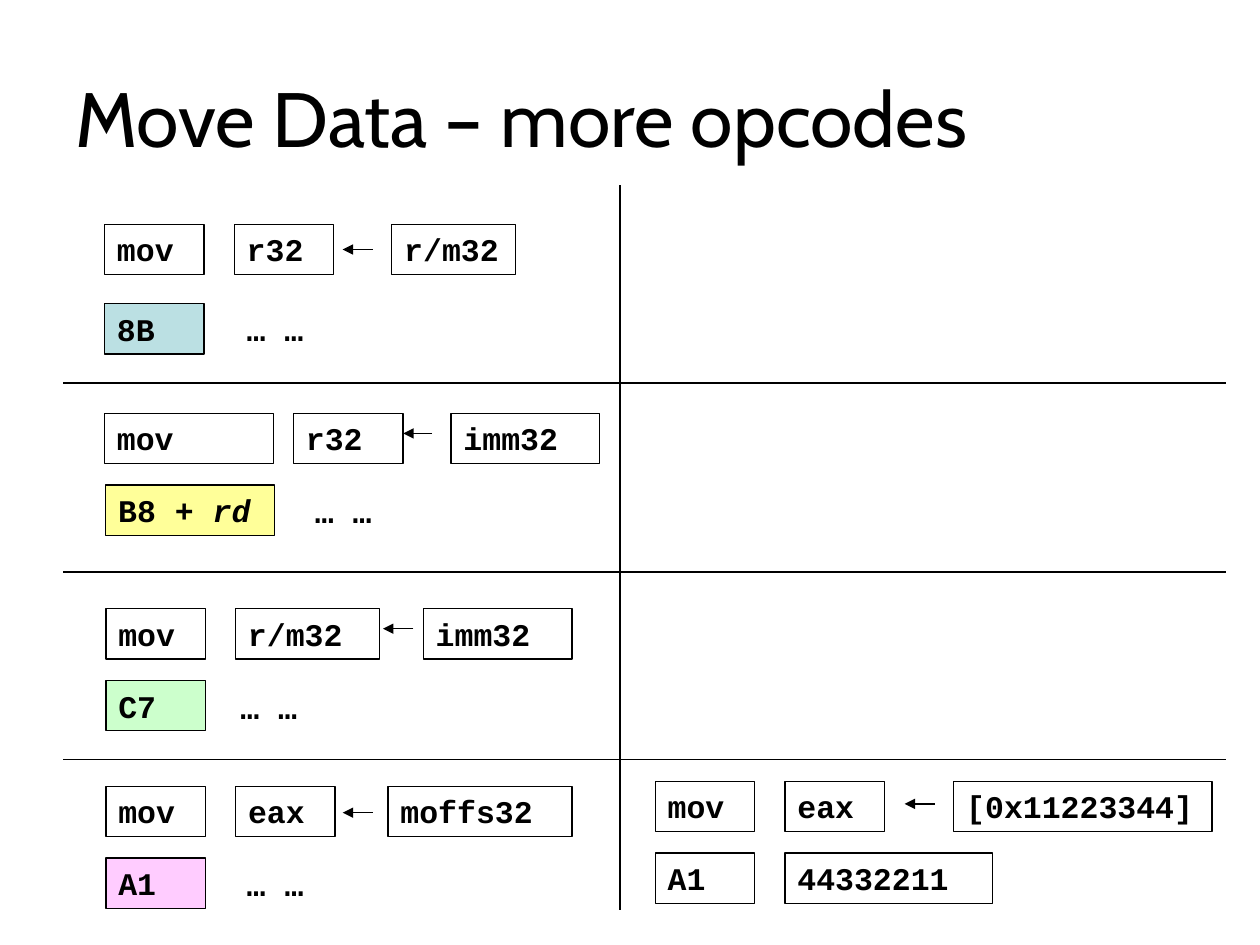
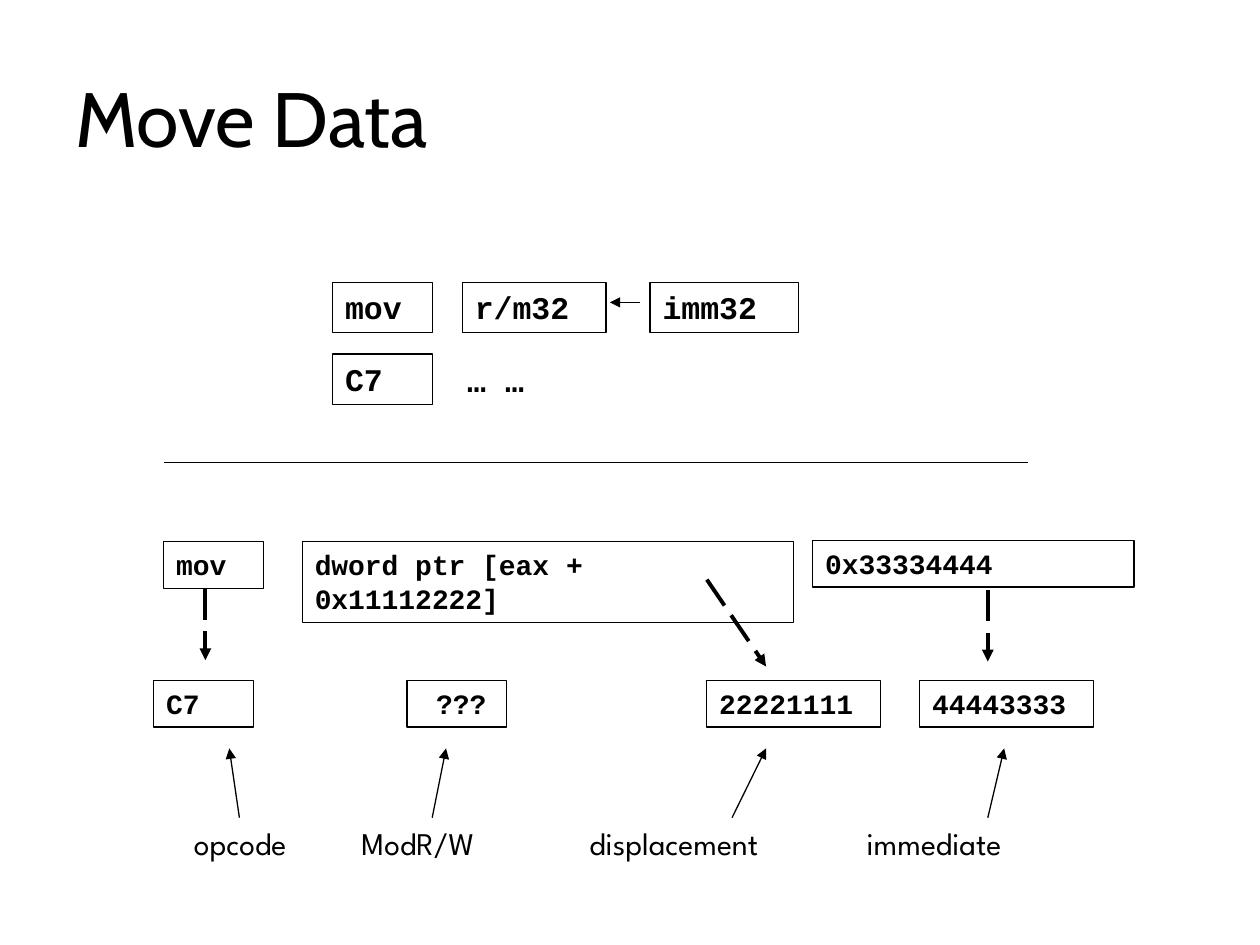
"""Build two slides on the encoding of mov opcodes."""
from pptx import Presentation, util as u
from pptx.dml.color import RGBColor
from pptx.enum import dml, shapes, text
from pptx.oxml.ns import qn
from lxml import etree

BLACK = RGBColor(0x00, 0x00, 0x00)
WHITE = RGBColor(0xFF, 0xFF, 0xFF)
TEAL = RGBColor(0xBB, 0xE0, 0xE3)
YELLOW = RGBColor(0xFF, 0xFF, 0x99)
GREEN = RGBColor(0xCC, 0xFF, 0xCC)
PINK = RGBColor(0xFF, 0xCC, 0xFF)
HEAD, BODY, CODE = "Cabin", "League Spartan", "Courier New"
THIN, THICK = 0.74, 2.24
CELL = 0.79
DOTS = "… …"


class Deck:
    def __init__(self):
        self.prs = Presentation()
        self.prs.slide_width = u.Inches(10)
        self.prs.slide_height = u.Inches(7.5)
        self.s = None

    def slide(self, title):
        self.s = self.prs.slides.add_slide(self.prs.slide_layouts[6])
        self.s.background.fill.solid()
        self.s.background.fill.fore_color.rgb = WHITE
        sp = self.s.shapes.add_textbox(*map(u.Inches, (0.5, 0.3, 8.5, 1.25)))
        self.set_text(sp, title, HEAD, 44, 0)
        sp.text_frame.auto_size = text.MSO_AUTO_SIZE.NONE
        sp.text_frame.vertical_anchor = text.MSO_ANCHOR.MIDDLE

    def set_text(self, sp, words, font, size, before, italic=""):
        tf = sp.text_frame
        tf.word_wrap = True
        tf.auto_size = text.MSO_AUTO_SIZE.SHAPE_TO_FIT_TEXT
        tf.vertical_anchor = text.MSO_ANCHOR.TOP
        p = tf.paragraphs[0]
        p.alignment = text.PP_ALIGN.LEFT
        p.space_before = u.Pt(before)
        p.font.name = font
        p.font.size = u.Pt(size)
        p.font.bold = font == CODE
        p.font.color.rgb = BLACK
        p.add_run().text = words
        if italic:
            r = p.add_run()
            r.text = italic
            r.font.italic = True

    def box(self, words, x, y, w=CELL, h=0.4, fill=None, size=18, italic=""):
        sp = self.s.shapes.add_shape(shapes.MSO_SHAPE.RECTANGLE,
                                     *map(u.Inches, (x, y, w, h)))
        sp.shadow.inherit = False
        if fill is None:
            sp.fill.background()
        else:
            sp.fill.solid()
            sp.fill.fore_color.rgb = fill
        sp.line.color.rgb = BLACK
        sp.line.width = u.Pt(THIN)
        self.set_text(sp, words, CODE, size, size * 0.625, italic)

    def small_box(self, words, x, y, w=CELL, h=0.37):
        self.box(words, x, y, w, h, size=16)

    def label(self, words, x, y, w, font=BODY):
        sp = self.s.shapes.add_textbox(*map(u.Inches, (x, y, w, 0.4)))
        self.set_text(sp, words, font, 18, 11.2)

    def line(self, x1, y1, x2, y2, width=THIN, dashed=False, arrow=False):
        c = self.s.shapes.add_connector(shapes.MSO_CONNECTOR.STRAIGHT,
                                        *map(u.Inches, (x1, y1, x2, y2)))
        c.line.color.rgb = BLACK
        c.line.width = u.Pt(width)
        if dashed:
            c.line.dash_style = dml.MSO_LINE.LONG_DASH
        sppr = c._element.spPr
        if arrow:
            etree.SubElement(sppr.find(qn("a:ln")), qn("a:tailEnd"), type="triangle")
        etree.SubElement(sppr, qn("a:effectLst"))

    def arrow(self, x1, y1, x2, y2):
        self.line(x1, y1, x2, y2, arrow=True)

    def dashed_arrow(self, x1, y1, x2, y2):
        self.line(x1, y1, x2, y2, THICK, True, True)

    def assign(self, x, y, target, target_w, source, source_x, source_w, arrow_x, arrow_y):
        self.box("mov", x, y)
        self.box(target, x + 1.03, y, target_w)
        self.box(source, source_x, y, source_w)
        self.arrow(arrow_x + 0.24, arrow_y, arrow_x, arrow_y)

    def store_immediate(self, x, y, fill=None):
        self.assign(x, y, "r/m32", 1.14, "imm32", x + 2.52, 1.18, x + 2.2, y + 0.16)
        self.box("C7", x, y + 0.57, fill=fill)
        self.label(DOTS, x + 0.97, y + 0.58, 0.91, CODE)


d = Deck()

d.slide("Move Data – more opcodes")
for y in (3.04, 4.54, 6.03):
    d.line(0.5, y, 9.73, y)
d.line(4.92, 7.22, 4.92, 1.47)

d.assign(0.83, 1.78, "r32", CELL, "r/m32", 3.11, 0.98, 2.72, 1.98)
d.box("8B", 0.83, 2.41, fill=TEAL)
d.label(DOTS, 1.86, 2.41, 2.24, CODE)

for words, x, w in (("mov", 0.83, 1.34), ("r32", 2.33, 0.87), ("imm32", 3.58, 1.18)):
    d.box(words, x, 3.28, w)
d.arrow(3.43, 3.44, 3.2, 3.44)
d.box("B8 + ", 0.84, 3.85, 1.34, fill=YELLOW, italic="rd")
d.label(DOTS, 2.4, 3.86, 1.18, CODE)

d.store_immediate(0.84, 4.83, GREEN)

d.assign(0.84, 6.24, "eax", CELL, "moffs32", 3.08, 1.46, 2.72, 6.45)
d.box("A1", 0.84, 6.81, fill=PINK)
d.label(DOTS, 1.86, 6.82, 2.68, CODE)

d.assign(5.2, 6.2, "eax", CELL, "[0x11223344]", 7.57, 2.05, 7.18, 6.38)
d.box("A1", 5.2, 6.77)
d.box("44332211", 6.23, 6.77, 1.65)

d.slide("Move Data")
d.store_immediate(2.64, 2.24)
d.line(1.3, 3.67, 8.16, 3.67)

d.small_box("mov", 1.3, 4.3)
d.small_box("dword ptr [eax + 0x11112222]", 2.4, 4.3, 3.9, 0.64)
d.small_box("0x33334444", 6.45, 4.29, 2.55)

for words, x, w in (("C7", 1.22, CELL), (" ???", 3.23, CELL),
                    ("22221111", 5.61, 1.38), ("44443333", 7.3, 1.38)):
    d.small_box(words, x, 5.4, w)

d.dashed_arrow(1.63, 4.67, 1.63, 5.24)
d.dashed_arrow(5.61, 4.6, 6.08, 5.29)
d.dashed_arrow(7.84, 4.68, 7.84, 5.25)

for words, x, w, start, end in (("opcode", 1.44, 1.34, 1.9, 1.82),
                                ("ModR/W", 2.77, 1.34, 3.43, 3.54),
                                ("displacement", 4.58, 2.6, 5.81, 6.08),
                                ("immediate", 6.78, 1.6, 7.84, 7.97)):
    d.label(words, x, 6.49, w)
    d.arrow(start, 6.49, end, 5.94)

d.prs.save("out.pptx")
